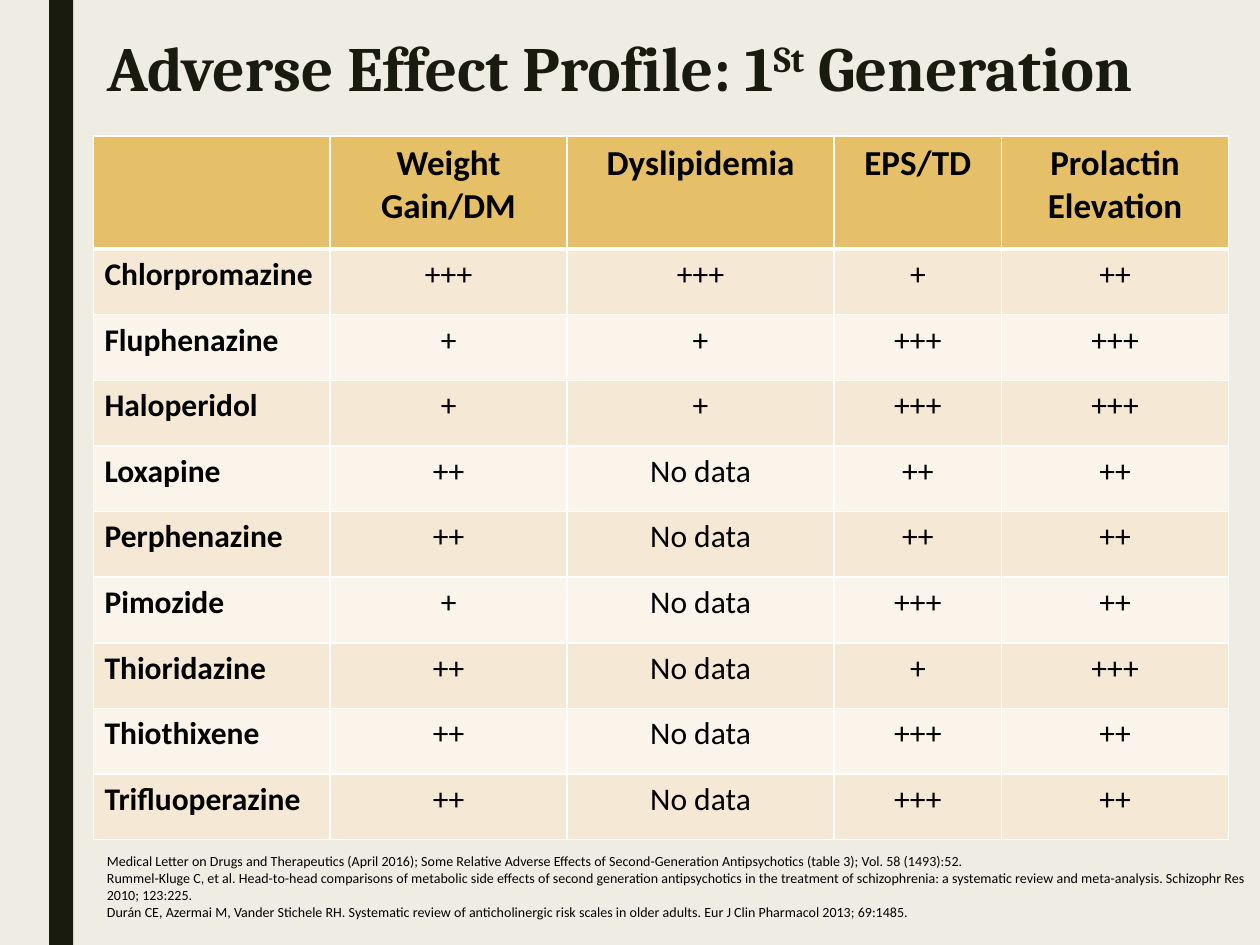
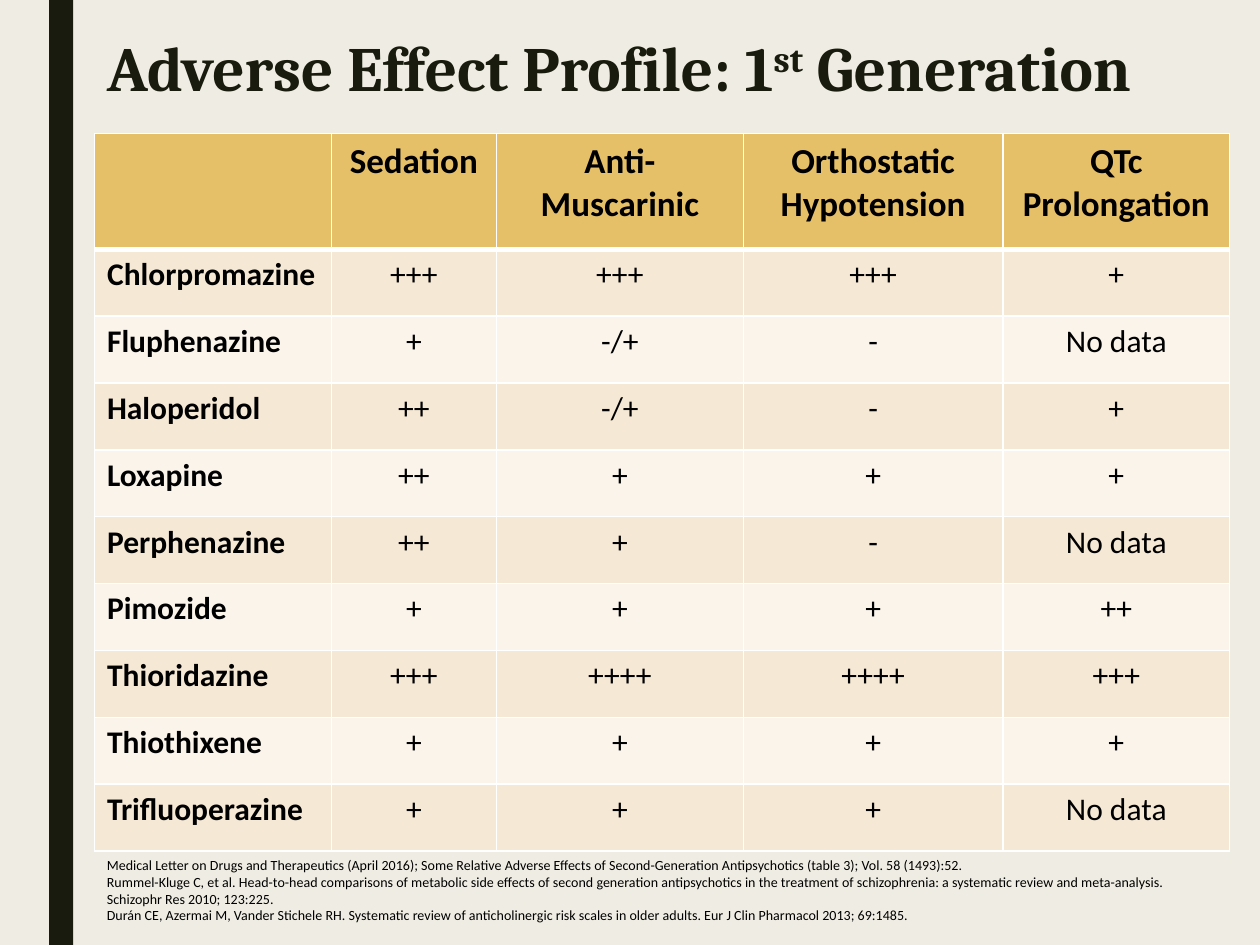
from pptx import Presentation
from pptx.dml.color import RGBColor
from pptx.enum.shapes import MSO_SHAPE
from pptx.enum.text import PP_ALIGN
from pptx.util import Inches, Pt
from lxml.etree import SubElement
from pptx.oxml.ns import qn

prs = Presentation()
prs.slide_width, prs.slide_height = Inches(10), Inches(7.5)

# Grid: 100 columns by 100 rows
COL, ROW = prs.slide_width / 100, prs.slide_height / 100

# Shared colours and text formats
PAPER, INK, BLACK, WHITE = "EFEDE3", "191B0E", "000000", "FFFFFF"
GOLD, BANDS = "E6C069", ("FAF4EB", "F5E8D4")
TITLE = dict(name="Cambria", size=Pt(36), bold=True, color=INK)
HEAD = dict(name="Calibri", size=Pt(20), bold=True, color=BLACK)
DRUG = dict(HEAD, size=Pt(18))
RATING = dict(DRUG, bold=False)
NOTE = dict(RATING, size=Pt(8))

DRUGS = ["Chlorpromazine", "Fluphenazine", "Haloperidol", "Loxapine", "Perphenazine",
         "Pimozide", "Thioridazine", "Thiothixene", "Trifluoperazine"]
SOURCES = [
    "Medical Letter on Drugs and Therapeutics (April 2016); Some Relative Adverse Effects of "
    "Second-Generation Antipsychotics (table 3); Vol. 58 (1493):52.",
    "Rummel-Kluge C, et al. Head-to-head comparisons of metabolic side effects of second generation "
    "antipsychotics in the treatment of schizophrenia: a systematic review and meta-analysis. "
    "Schizophr Res 2010; 123:225.",
    "Durán CE, Azermai M, Vander Stichele RH. Systematic review of anticholinergic risk scales in "
    "older adults. Eur J Clin Pharmacol 2013; 69:1485.",
]

# What differs per slide; lengths in grid columns and rows
ND = "No data"
SLIDES = [
    dict(ordinal="St", left=7.4, top=14.4, head_row=11.96, drug_row=6.95, inset=0.9,
         cols=[18.8, 18.8, 21.2, 13.3, 18], note_top=89.6, note_width=92.5,
         heads=["Weight Gain/DM", "Dyslipidemia", "EPS/TD", "Prolactin Elevation"],
         ratings=[["+++", "+++", "+", "++"], ["+", "+", "+++", "+++"],
                  ["+", "+", "+++", "+++"], ["++", ND, "++", "++"],
                  ["++", ND, "++", "++"], ["+", ND, "+++", "++"],
                  ["++", ND, "+", "+++"], ["++", ND, "+++", "++"],
                  ["++", ND, "+++", "++"]]),
    dict(ordinal="st", left=7.5, top=14.13, head_row=12.25, drug_row=7.08, inset=1,
         cols=[18.8, 13.1, 19.6, 20.6, 18], note_top=90, note_width=90,
         heads=["Sedation", "Anti-\nMuscarinic", "Orthostatic Hypotension", "QTc Prolongation"],
         ratings=[["+++", "+++", "+++", "+"], ["+", "-/+", "-", ND],
                  ["++", "-/+", "-", "+"], ["++", "+", "+", "+"],
                  ["++", "+", "-", ND], ["+", "+", "+", "++"],
                  ["+++", "++++", "++++", "+++"], ["+", "+", "+", "+"],
                  ["+", "+", "+", ND]]),
]


def rgb(hex_color):
    return RGBColor.from_string(hex_color)


def add_run(p, text, fmt):
    r = p.add_run()
    r.text = text
    for key, value in fmt.items():
        if key == "color":
            r.font.color.rgb = rgb(value)
        else:
            setattr(r.font, key, value)
    return r


for d in SLIDES:
    # Background and side band
    s = prs.slides.add_slide(prs.slide_layouts[6])
    s.background.fill.solid()
    s.background.fill.fore_color.rgb = rgb(PAPER)
    sp = s.shapes.add_shape(MSO_SHAPE.RECTANGLE, int(3.9 * COL), 0, int(1.9 * COL), prs.slide_height)
    sp.shadow.inherit = False
    sp.fill.solid()
    sp.fill.fore_color.rgb = rgb(INK)
    sp.line.fill.background()

    # Title with raised ordinal
    tf = s.shapes.add_textbox(int(7.5 * COL), int(3.33 * ROW), int(90 * COL), int(10.8 * ROW)).text_frame
    tf.word_wrap = True
    p = tf.paragraphs[0]
    p.line_spacing = 0.89
    add_run(p, "Adverse Effect Profile: 1", TITLE)
    r = add_run(p, d["ordinal"], TITLE)
    r.font._element.set("baseline", "30000")
    add_run(p, " Generation", TITLE)

    # Table of ratings
    rows = [[""] + d["heads"]] + [[drug] + marks for drug, marks in zip(DRUGS, d["ratings"])]
    heights = [d["head_row"]] + [d["drug_row"]] * len(DRUGS)
    tbl = s.shapes.add_table(len(rows), len(d["cols"]), int(d["left"] * COL), int(d["top"] * ROW),
                             int(sum(d["cols"]) * COL), int(sum(heights) * ROW)).table
    tbl.horz_banding = False
    for column, width in zip(tbl.columns, d["cols"]):
        column.width = int(width * COL)
    for i, (row, height) in enumerate(zip(rows, heights)):
        tbl.rows[i].height = int(height * ROW)
        for j, text in enumerate(row):
            cell = tbl.cell(i, j)
            cell.margin_left = cell.margin_right = int(d["inset"] * COL)

            # White borders, heavy under the header
            heavy = {0: "lnB", 1: "lnT"}.get(i)
            for side in ("lnL", "lnR", "lnT", "lnB"):
                ln = SubElement(cell._tc.get_or_add_tcPr(), qn("a:" + side),
                                w=str(Pt(3 if side == heavy else 1)))
                SubElement(SubElement(ln, qn("a:solidFill")), qn("a:srgbClr"), val=WHITE)
            cell.fill.solid()
            cell.fill.fore_color.rgb = rgb(BANDS[i % 2] if i else GOLD)

            fmt = HEAD if i == 0 else RATING if j else DRUG
            for k, line in enumerate(text.split("\n") if text else []):
                p = cell.text_frame.add_paragraph() if k else cell.text_frame.paragraphs[0]
                p.alignment = PP_ALIGN.CENTER if j else PP_ALIGN.LEFT
                add_run(p, line, fmt)

    # Sources
    tf = s.shapes.add_textbox(int(7.5 * COL), int(d["note_top"] * ROW),
                              int(d["note_width"] * COL), int(9 * ROW)).text_frame
    tf.word_wrap = True
    for k, source in enumerate(SOURCES):
        p = tf.add_paragraph() if k else tf.paragraphs[0]
        add_run(p, source, NOTE)

prs.save("out.pptx")
